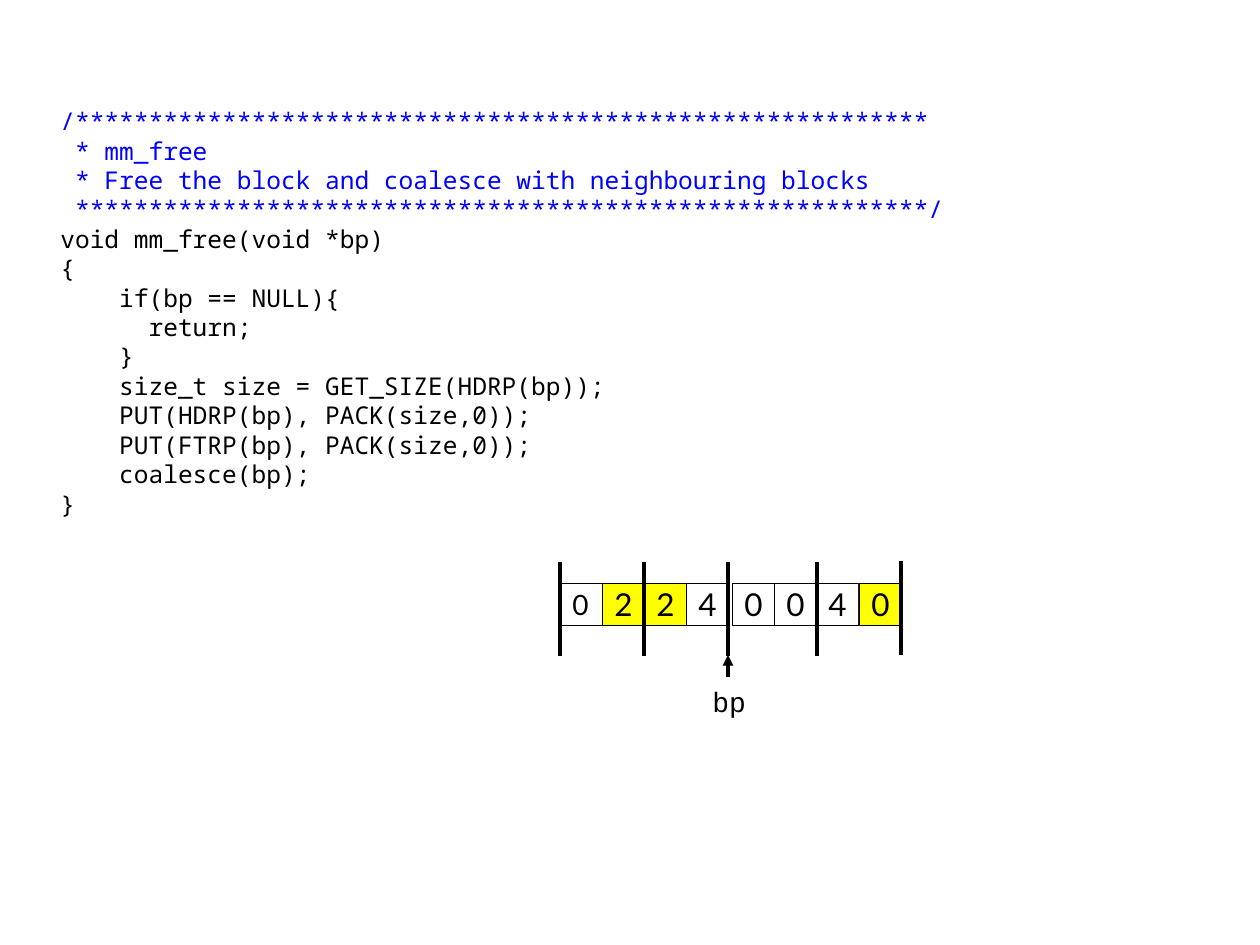
from dataclasses import dataclass

from lxml.etree import SubElement
from pptx import Presentation
from pptx.dml.color import RGBColor as Color
from pptx.enum.shapes import MSO_CONNECTOR as Connector, MSO_SHAPE as Shape
from pptx.enum.text import MSO_ANCHOR as Anchor, MSO_AUTO_SIZE as AutoSize, PP_ALIGN as Align
from pptx.oxml.ns import qn
from pptx.util import Emu, Pt

# Content
COMMENT = [
    "/" + "*" * 58,
    " * mm_free",
    " * Free the block and coalesce with neighbouring blocks",
    " " + "*" * 58 + "/",
]
CODE = [
    "void mm_free(void *bp)",
    "{",
    "    if(bp == NULL){",
    "      return;",
    "    }",
    "    size_t size = GET_SIZE(HDRP(bp));",
    "    PUT(HDRP(bp), PACK(size,0));",
    "    PUT(FTRP(bp), PACK(size,0));",
    "    coalesce(bp);",
    "}",
]
POINTER = "bp"


@dataclass(frozen=True)
class Theme:
    ink = Color(0, 0, 0)
    comment = Color(0, 0, 255)
    white = Color(255, 255, 255)
    tag = Color(255, 255, 0)
    code_font = "Noto Sans Mono"
    label_font = "Courier New"
    cell_font = "Lato"
    code_size = 14
    label_size = 16
    cell_size = 18
    cell_line = 0.25
    divider_line = 2.25
    arrow_line = 2


# Runs of touching heap words: left edge, then (value, fill, size)
PLAIN = (None, Theme.cell_size)
TAGGED = (Theme.tag, Theme.cell_size)
WORD_GROUPS = [
    (560, [("0", Theme.white, Theme.label_size), ("2", *TAGGED), ("2", *TAGGED), ("4", *PLAIN)]),
    (732, [("0", *PLAIN), ("0", *PLAIN), ("4", *PLAIN)]),
    (859, [("0", *TAGGED)]),
]
DIVIDERS = [(560, 562), (644, 562), (728, 562), (817, 562), (901, 561)]

# Geometry in pixels
SCALE = 914400 // 126
CELL, CELL_TOP, DIVIDER_HEIGHT = 42, 583, 94
POINTER_X, ARROW_START, ARROW_END = 728, 677, 655


def px(*lengths):
    return [Emu(round(length * SCALE)) for length in lengths]


def add_run(para, text, font, size, color):
    span = para.add_run()
    span.text = text
    span.font.name = font
    span.font.size = Pt(size)
    span.font.color.rgb = color


def add_line(x, start, end, width, arrow=False):
    line = page.shapes.add_connector(Connector.STRAIGHT, *px(x, start, x, end))
    line.line.color.rgb = Theme.ink
    line.line.width = Pt(width)
    if arrow:
        SubElement(line.line._get_or_add_ln(), qn("a:tailEnd"), type="triangle")
    SubElement(line._element.spPr, qn("a:effectLst"))


def add_text_box(left, top, width, height, wrap):
    frame = page.shapes.add_textbox(*px(left, top, width, height)).text_frame
    frame.word_wrap = wrap
    frame.auto_size = AutoSize.SHAPE_TO_FIT_TEXT
    return frame


def add_cell(left, value, fill, size):
    cell = page.shapes.add_shape(Shape.RECTANGLE, *px(left, CELL_TOP, CELL, CELL))
    cell.shadow.inherit = False
    if fill is None:
        cell.fill.background()
    else:
        cell.fill.solid()
        cell.fill.fore_color.rgb = fill
    cell.line.color.rgb = Theme.ink
    cell.line.width = Pt(Theme.cell_line)
    frame = cell.text_frame
    frame.word_wrap = False
    frame.vertical_anchor = Anchor.MIDDLE
    para = frame.paragraphs[0]
    para.alignment = Align.LEFT
    add_run(para, value, Theme.cell_font, size, Theme.ink)


deck = Presentation()
deck.slide_width, deck.slide_height = px(1260, 945)
page = deck.slides.add_slide(deck.slide_layouts[6])

# Code listing
listing = add_text_box(48, 100, 1051, 428, True)
lines = [(text, Theme.comment) for text in COMMENT] + [(text, Theme.ink) for text in CODE]
for index, (text, color) in enumerate(lines):
    para = listing.add_paragraph() if index else listing.paragraphs[0]
    add_run(para, text, Theme.code_font, Theme.code_size, color)

# Pointer label
label = add_text_box(700, 678, 59, 47, False)
add_run(label.paragraphs[0], POINTER, Theme.label_font, Theme.label_size, Theme.ink)

# Heap words
for left, words in WORD_GROUPS:
    for index, word in enumerate(words):
        add_cell(left + index * CELL, *word)

# Block dividers and pointer arrow
for x, top in DIVIDERS:
    add_line(x, top, top + DIVIDER_HEIGHT, Theme.divider_line)
add_line(POINTER_X, ARROW_START, ARROW_END, Theme.arrow_line, arrow=True)

deck.save("out.pptx")
